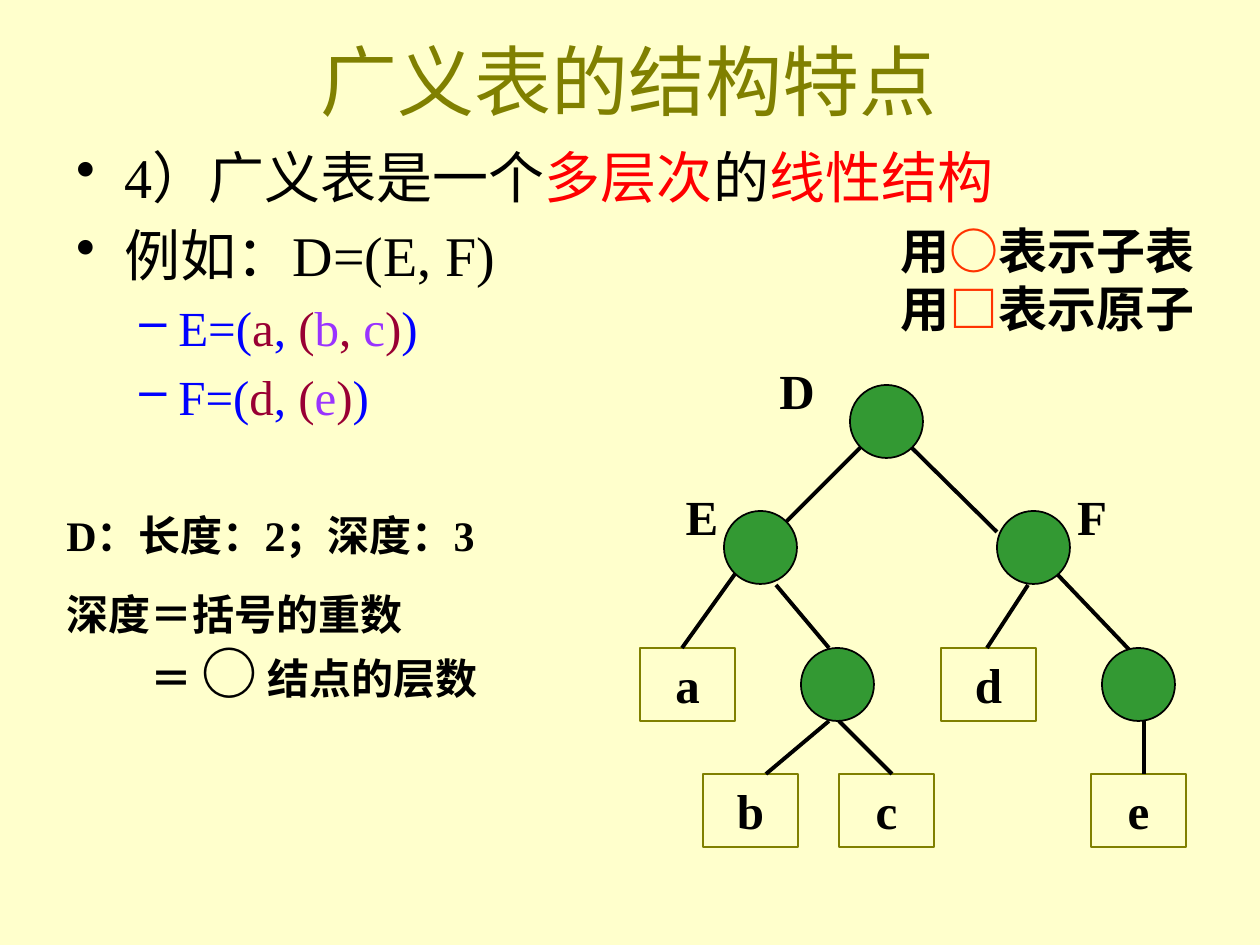
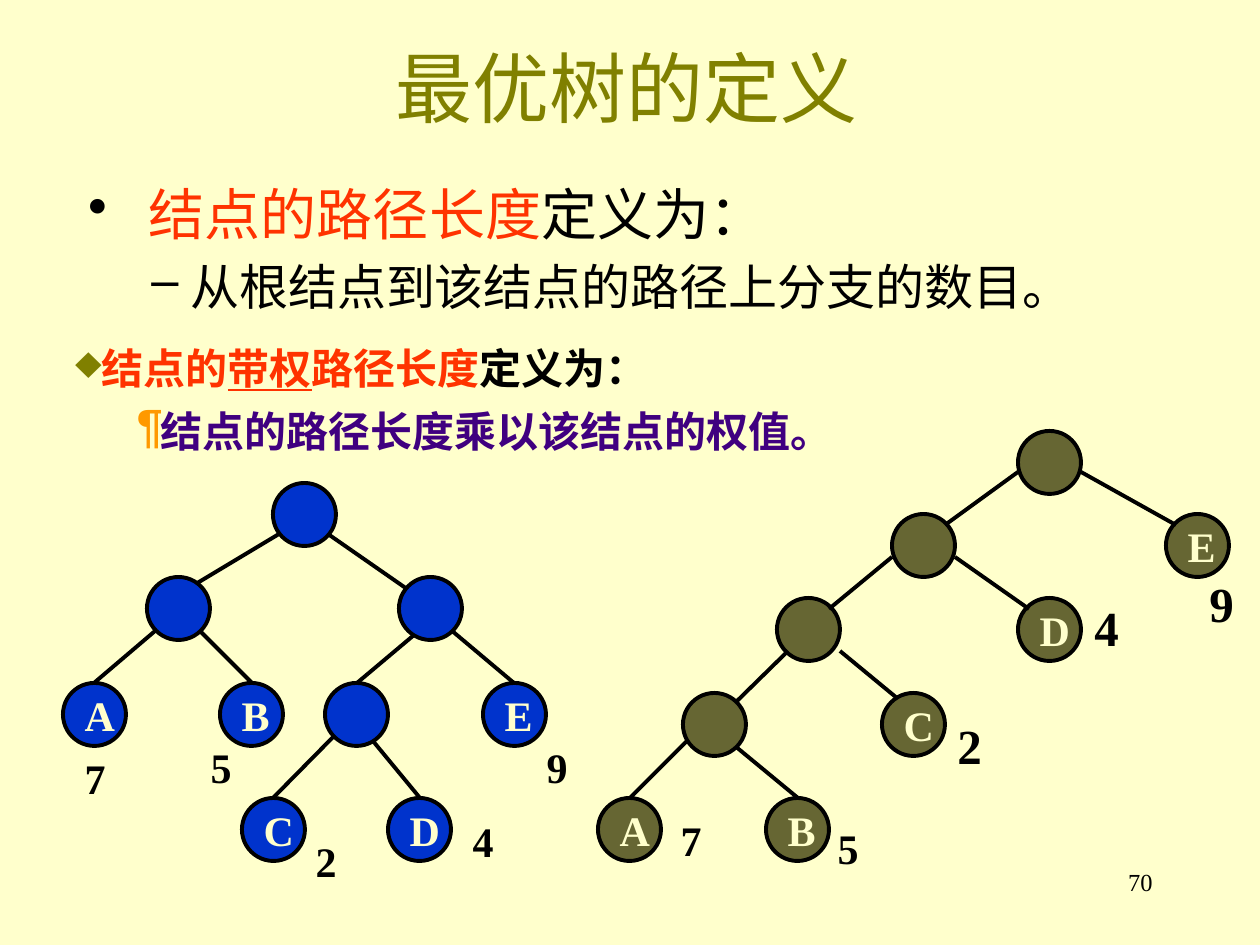
from lxml import etree
from pptx import Presentation
from pptx.dml.color import RGBColor
from pptx.enum.shapes import MSO_CONNECTOR, MSO_SHAPE
from pptx.enum.text import MSO_ANCHOR, PP_ALIGN
from pptx.oxml.ns import qn
from pptx.util import Emu, Pt

PX = 914400 / 126
FONT = "Times New Roman"
COLORS = {
    "cream": "FFFFCC", "olive": "808000", "black": "000000", "red": "FF0000",
    "orange": "FF3300", "amber": "FF9900", "blue": "0000FF", "wine": "990033",
    "violet": "9933FF", "indigo": "400080", "green": "339933",
    "royal": "0033CC", "moss": "666633",
}


def rgb(name):
    return RGBColor.from_string(COLORS[name])


def px(*lengths):
    return [Emu(round(n * PX)) for n in lengths]


def add_text(p, text, size=24, color="black", font=FONT, bold=False, underline=False):
    r = p.add_run()
    r.text = text
    r.font.size = Pt(size)
    r.font.name = font
    r.font.bold = bold
    r.font.underline = underline
    r.font.color.rgb = rgb(color)


def add_paragraph(tf, runs, align=PP_ALIGN.LEFT, before=0, level=0, left=0, hanging=0,
                  bullet=None, bullet_color=None, bullet_size=None, **fmt):
    """Fill the next paragraph; runs holds (text, format changes) pairs."""
    p = tf.paragraphs[0]
    if p.runs:
        p = tf.add_paragraph()
        p.space_before = Pt(before)
    p.alignment = align
    p.level = level
    pPr = p._p.get_or_add_pPr()
    margin, indent = px(left, -hanging)
    pPr.set("marL", str(margin))
    pPr.set("indent", str(indent))
    if bullet_color:
        clr = etree.SubElement(pPr, qn("a:buClr"))
        etree.SubElement(clr, qn("a:srgbClr"), val=COLORS[bullet_color])
    if bullet_size:
        etree.SubElement(pPr, qn("a:buSzPct"), val=str(bullet_size * 1000))
    if bullet:
        etree.SubElement(pPr, qn("a:buChar"), char=bullet)
    for text, changes in runs:
        add_text(p, text, **{**fmt, **changes})


def add_point(tf, *runs):
    add_paragraph(tf, runs, left=48, hanging=48, before=6.4, bullet="•", size=32)


def add_subpoint(tf, *runs):
    add_paragraph(tf, runs, left=102, hanging=39, before=5.6, level=1, bullet="–", size=28)


def add_box(s, x, y, w, h, wrap=True):
    tf = s.shapes.add_textbox(*px(x, y, w, h)).text_frame
    tf.word_wrap = wrap
    return tf


def add_figure(s, kind, x, y, w, h, fill=None, line=None, weight=1.0):
    sp = s.shapes.add_shape(kind, *px(x, y, w, h))
    sp.shadow.inherit = False
    if fill:
        sp.fill.solid()
        sp.fill.fore_color.rgb = rgb(fill)
    else:
        sp.fill.background()
    if line:
        sp.line.color.rgb = rgb(line)
        sp.line.width = Pt(weight)
    else:
        sp.line.fill.background()
    return sp


def add_edges(s, edges):
    for ends in edges:
        c = s.shapes.add_connector(MSO_CONNECTOR.STRAIGHT, *px(*ends))
        c.line.color.rgb = rgb("black")
        c.line.width = Pt(2.25)
        etree.SubElement(c._element.spPr, qn("a:effectLst"))


def add_atoms(s, atoms):
    """Draw the square leaves of the list tree."""
    for name, x, y in atoms:
        sp = add_figure(s, MSO_SHAPE.RECTANGLE, x, y, 95, 73, line="olive")
        tf = sp.text_frame
        tf.vertical_anchor = MSO_ANCHOR.TOP
        add_paragraph(tf, [(name, {})], align=PP_ALIGN.CENTER, size=28, bold=True)


def add_round_texts(s, items, color="black", **style):
    """Draw circles of one size; each item is (text, x, y)."""
    for text, x, y in items:
        sp = add_figure(s, MSO_SHAPE.OVAL, x, y, 63, 63, **style)
        if text:
            tf = sp.text_frame
            tf.word_wrap = False
            tf.vertical_anchor = MSO_ANCHOR.MIDDLE
            add_paragraph(tf, [(text, {})], color=color, bold=True)


def add_tree_nodes(s, nodes, fill):
    add_round_texts(s, nodes, color="cream", fill=fill, line="black", weight=2.25)


def new_slide(prs, title, x, y):
    s = prs.slides.add_slide(prs.slide_layouts[5])
    t = s.shapes.title
    t.left, t.top, t.width, t.height = px(x, y, 1071, 158)
    t.text_frame.vertical_anchor = MSO_ANCHOR.MIDDLE
    add_paragraph(t.text_frame, [(title, {})], align=PP_ALIGN.CENTER, size=44, color="olive")
    return s


def build_generalized_list(prs):
    s = new_slide(prs, "广义表的结构特点", 93, 1)
    red, blue, wine, violet, orange = (
        {"color": c} for c in ("red", "blue", "wine", "violet", "orange"))

    tf = add_box(s, 64, 136, 1071, 567)
    add_point(tf, ("4）广义表是一个", {}), ("多层次", red), ("的", {}), ("线性结构", red))
    add_point(tf, ("例如：D=(E, F)", {}))
    add_subpoint(tf, ("E=(", blue), ("a", wine), (", ", blue), ("(", wine), ("b", violet),
                 (", ", wine), ("c", violet), (")", wine), (")", blue))
    add_subpoint(tf, ("F=(", blue), ("d", wine), (",", blue), (" (", wine), ("e", violet),
                 (")", wine), (")", blue))

    add_atoms(s, [("a", 640, 648), ("b", 703, 774), ("c", 839, 774),
                  ("d", 941, 648), ("e", 1091, 774)])
    for name, x, y in [("D", 755, 354), ("E", 660, 480), ("F", 1050, 480)]:
        add_paragraph(add_box(s, x, y, 84, 72), [(name, {})], align=PP_ALIGN.CENTER,
                      size=28, bold=True)
    add_edges(s, [
        (871, 437, 786, 522), (912, 448, 997, 532), (735, 574, 682, 648),
        (776, 585, 829, 648), (829, 721, 766, 774), (839, 721, 892, 774),
        (1028, 585, 987, 648), (1056, 573, 1140, 661), (1144, 721, 1144, 774),
    ])
    for x, y in [(850, 385), (724, 511), (997, 511), (801, 648), (1102, 648)]:
        add_figure(s, MSO_SHAPE.OVAL, x, y, 73, 73, fill="green", line="black")

    tf = add_box(s, 888, 214, 348, 130)
    for symbol, meaning in [("○", "表示子表"), ("□", "表示原子")]:
        add_paragraph(tf, [("用", {}), (symbol, orange), (meaning, {})],
                      size=28, font="Arial", bold=True)
    add_paragraph(add_box(s, 54, 503, 517, 72), [("D：长度：2；深度：3", {})], bold=True)
    tf = add_box(s, 54, 582, 508, 139)
    add_paragraph(tf, [("深度＝括号的重数", {})], bold=True)
    add_paragraph(tf, [("＝ ", {}), ("○", {"size": 32, "font": "Arial"}), (" 结点的层数", {})],
                  left=84, bold=True)


def build_optimal_tree(prs):
    s = new_slide(prs, "最优树的定义", 91, 8)
    add_paragraph(add_box(s, 903, 861, 262, 63), [("70", {})], align=PP_ALIGN.RIGHT, size=14)

    orange = {"color": "orange"}
    tf = add_box(s, 76, 173, 1071, 567)
    add_point(tf, (" ", {}), ("结点的路径长度", orange), ("定义为：", {}))
    add_subpoint(tf, ("从根结点到该结点的路径上分支的数目。", {}))

    add_edges(s, [
        (294, 525, 189, 588), (315, 525, 420, 598), (420, 630, 357, 683),
        (451, 630, 514, 683), (346, 724, 273, 798), (368, 735, 420, 798),
        (168, 620, 94, 683), (189, 620, 252, 683),
    ])
    add_tree_nodes(s, [
        ("", 273, 483), ("", 147, 577), ("", 399, 577), ("A", 63, 683), ("B", 220, 683),
        ("", 325, 683), ("E", 483, 683), ("C", 242, 798), ("D", 388, 798),
    ], "royal")
    add_round_texts(s, [
        ("7", 63, 746), ("5", 189, 735), ("2", 294, 829), ("4", 451, 809),
        ("9", 525, 735), ("7", 659, 808), ("5", 816, 816),
    ])

    tf = add_box(s, 63, 336, 1124, 149)
    add_paragraph(tf, [("结点的", orange), ("带权", {**orange, "underline": True}),
                       ("路径长度", orange), ("定义为：", {})],
                  bullet="♦", bullet_color="olive", bullet_size=110, bold=True)
    add_paragraph(tf, [("结点的路径长度乘以该结点的权值。", {})], before=7.2, level=1, left=63,
                  bullet="¶", bullet_color="amber", color="indigo", bold=True)

    for weight, x, y in [("2", 945, 709), ("4", 1082, 591), ("9", 1197, 567)]:
        add_paragraph(add_box(s, x, y, 50, 72, wrap=False), [(weight, {})], size=28, bold=True)
    add_tree_nodes(s, [("", 1018, 431), ("", 892, 514), ("E", 1166, 514), ("", 777, 598),
                       ("D", 1018, 598), ("A", 598, 798)], "moss")
    add_edges(s, [
        (1081, 472, 1176, 525), (1018, 472, 945, 525), (955, 557, 1029, 609),
        (892, 557, 829, 609), (693, 735, 630, 798), (735, 746, 798, 798),
        (840, 651, 903, 703), (788, 651, 735, 703),
    ])
    add_tree_nodes(s, [("B", 766, 798), ("C", 882, 693), ("", 683, 693)], "moss")


def main():
    prs = Presentation()
    prs.slide_width, prs.slide_height = px(1260, 945)
    background = prs.slide_master.background.fill
    background.solid()
    background.fore_color.rgb = rgb("cream")
    build_generalized_list(prs)
    build_optimal_tree(prs)
    prs.save("out.pptx")


if __name__ == "__main__":
    main()
